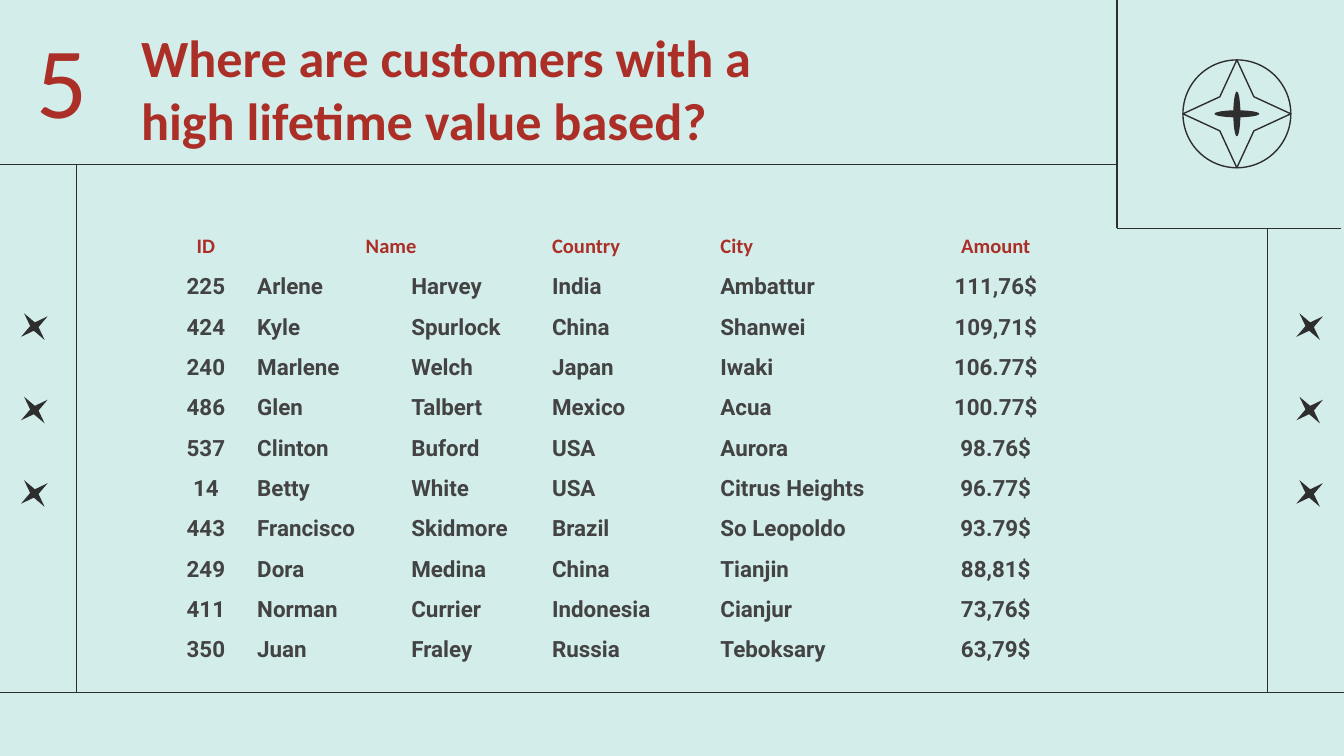
"""Build the slide listing customers with a high lifetime value."""
from lxml import etree
from pptx import Presentation
from pptx import util as u
from pptx.dml.color import RGBColor
from pptx.enum import shapes, text
from pptx.oxml import ns

TITLE = "Where are customers with a \vhigh lifetime value based?"
NUMBER = "5"
HEADER = ("ID", "Name", "", "Country", "City", "Amount")
CUSTOMERS = [
    ("225", "Arlene", "Harvey", "India", "Ambattur", "111,76$"),
    ("424", "Kyle", "Spurlock", "China", "Shanwei", "109,71$"),
    ("240", "Marlene", "Welch", "Japan", "Iwaki", "106.77$"),
    ("486", "Glen", "Talbert", "Mexico", "Acua", "100.77$"),
    ("537", "Clinton", "Buford", "USA", "Aurora", "98.76$"),
    ("14", "Betty", "White", "USA", "Citrus Heights", "96.77$"),
    ("443", "Francisco", "Skidmore", "Brazil", "So Leopoldo", "93.79$"),
    ("249", "Dora", "Medina", "China", "Tianjin", "88,81$"),
    ("411", "Norman", "Currier", "Indonesia", "Cianjur", "73,76$"),
    ("350", "Juan", "Fraley", "Russia", "Teboksary", "63,79$"),
]

BACKGROUND = RGBColor(0xD3, 0xED, 0xEB)
INK = RGBColor(0x2E, 0x2E, 0x2E)
RED = RGBColor(0xAB, 0x2E, 0x27)
GRAY = RGBColor(0x43, 0x43, 0x43)
NO_STYLE = "{2D5ABB26-0587-4C30-8999-92F81FD0307C}"

WIDTH, HEIGHT = 720, 405
LEFT_RULE, RIGHT_RULE, BOTTOM_RULE = 41, 679, 371
TITLE_RULE, CORNER_X, CORNER_Y = 88, 598.5, 122.3
RULES = [
    (RIGHT_RULE, CORNER_Y, RIGHT_RULE, BOTTOM_RULE),
    (LEFT_RULE, TITLE_RULE, LEFT_RULE, BOTTOM_RULE),
    (0, BOTTOM_RULE, WIDTH, BOTTOM_RULE),
    (718.5, CORNER_Y, CORNER_X, CORNER_Y),
    (CORNER_X, TITLE_RULE, 0, TITLE_RULE),
    (CORNER_X, CORNER_Y, CORNER_X, 0),
]
EMBLEM_CENTER = (662.6, 61)
EMBLEM_SIZE, PETAL_LENGTH, PETAL_WIDTH = 57.8, 24, 3.8
STAR_COLUMNS, STAR_TOP, STAR_STEP = (18.4, 701.6), 175, 44.7
STAR_SIZE, STAR_ANGLE = 18, 52.3
TABLE_LEFT, TABLE_TOP, ROW_HEIGHT = 90, 121.4, 21.62
COLUMN_WIDTHS = (40.6, 82.6, 75.4, 90.2, 105.1, 99.3)
CENTERED_COLUMNS = (0, 5)


def write_text(frame, words, *, size, font="Calibri", color=RED, bold=False, centered=False):
    """Put formatted words into a text frame."""
    frame.text = words
    paragraph = frame.paragraphs[0]
    paragraph.alignment = text.PP_ALIGN.CENTER if centered else text.PP_ALIGN.LEFT
    for run in paragraph.runs:
        run.font.size = u.Pt(size)
        run.font.name = font
        run.font.bold = bold
        run.font.color.rgb = color


def add_rule(slide, *ends):
    """Draw a thin straight line without a shadow."""
    rule = slide.shapes.add_connector(shapes.MSO_CONNECTOR.STRAIGHT, *map(u.Pt, ends))
    rule.line.color.rgb = INK
    rule.line.width = u.Pt(0.75)
    etree.SubElement(rule._element.spPr, ns.qn("a:effectLst"))


def add_ornament(slide, kind, center, width, height, *, angle=0, filled=True, adjustment=None):
    """Draw a solid or outlined shape around a center."""
    left, top = center[0] - width / 2, center[1] - height / 2
    shape = slide.shapes.add_shape(kind, *map(u.Pt, (left, top, width, height)))
    shape.shadow.inherit = False
    shape.rotation = angle
    if adjustment is not None:
        shape.adjustments[0] = adjustment
    if filled:
        shape.fill.solid()
        shape.fill.fore_color.rgb = INK
        shape.line.fill.background()
    else:
        shape.fill.background()
        shape.line.color.rgb = INK
        shape.line.width = u.Pt(0.75)


def add_decoration(slide):
    """Draw the rules, the corner emblem and the side stars."""
    oval, star = shapes.MSO_SHAPE.OVAL, shapes.MSO_SHAPE.STAR_4_POINT
    for ends in RULES:
        add_rule(slide, *ends)
    for kind, adjustment in ((oval, None), (star, 0.223)):
        add_ornament(slide, kind, EMBLEM_CENTER, EMBLEM_SIZE, EMBLEM_SIZE,
                     filled=False, adjustment=adjustment)
    for angle in (0, 90):
        add_ornament(slide, oval, EMBLEM_CENTER, PETAL_LENGTH, PETAL_WIDTH, angle=angle)
    for x in STAR_COLUMNS:
        for index in range(3):
            add_ornament(slide, star, (x, STAR_TOP + index * STAR_STEP), STAR_SIZE, STAR_SIZE,
                         angle=STAR_ANGLE, adjustment=0.125)


def add_headings(slide):
    """Place the title and the slide number."""
    title = slide.shapes.title
    title.left, title.top, title.width, title.height = map(u.Pt, (75.6, 6.5, 607.7, 74.2))
    frame = title.text_frame
    frame.margin_left = frame.margin_right = frame.margin_top = frame.margin_bottom = 0
    frame.auto_size = text.MSO_AUTO_SIZE.NONE
    frame.vertical_anchor = text.MSO_ANCHOR.BOTTOM
    write_text(frame, TITLE, size=28, bold=True)
    number = slide.shapes.add_textbox(*map(u.Pt, (3.6, 5.8, 59.8, 72.7)))
    number.text_frame.word_wrap = True
    write_text(number.text_frame, NUMBER, size=54, centered=True)


def add_customers(slide):
    """Fill the customer table."""
    rows = [HEADER, *CUSTOMERS]
    size = (TABLE_LEFT, TABLE_TOP, sum(COLUMN_WIDTHS), ROW_HEIGHT * len(rows))
    table = slide.shapes.add_table(len(rows), len(HEADER), *map(u.Pt, size)).table
    table.first_row = table.horz_banding = False
    table._tbl.tblPr.find(ns.qn("a:tableStyleId")).text = NO_STYLE
    for column, width in zip(table.columns, COLUMN_WIDTHS):
        column.width = u.Pt(width)
    table.cell(0, 1).merge(table.cell(0, 2))
    for row_index, row in enumerate(rows):
        table.rows[row_index].height = u.Pt(ROW_HEIGHT)
        is_header = row_index == 0
        style = dict(size=11) if is_header else dict(size=12, font="Roboto", color=GRAY)
        for column_index, words in enumerate(row):
            cell = table.cell(row_index, column_index)
            cell.fill.background()
            cell.margin_top = cell.margin_bottom = 0
            cell.vertical_anchor = text.MSO_ANCHOR.MIDDLE
            if words:
                centered = column_index in CENTERED_COLUMNS or cell.is_merge_origin
                write_text(cell.text_frame, words, bold=True, centered=centered, **style)


def main():
    """Create and save the presentation."""
    presentation = Presentation()
    presentation.slide_width, presentation.slide_height = u.Pt(WIDTH), u.Pt(HEIGHT)
    slide = presentation.slides.add_slide(presentation.slide_layouts[5])
    slide.background.fill.solid()
    slide.background.fill.fore_color.rgb = BACKGROUND
    add_decoration(slide)
    add_headings(slide)
    add_customers(slide)
    presentation.save("out.pptx")


if __name__ == "__main__":
    main()
